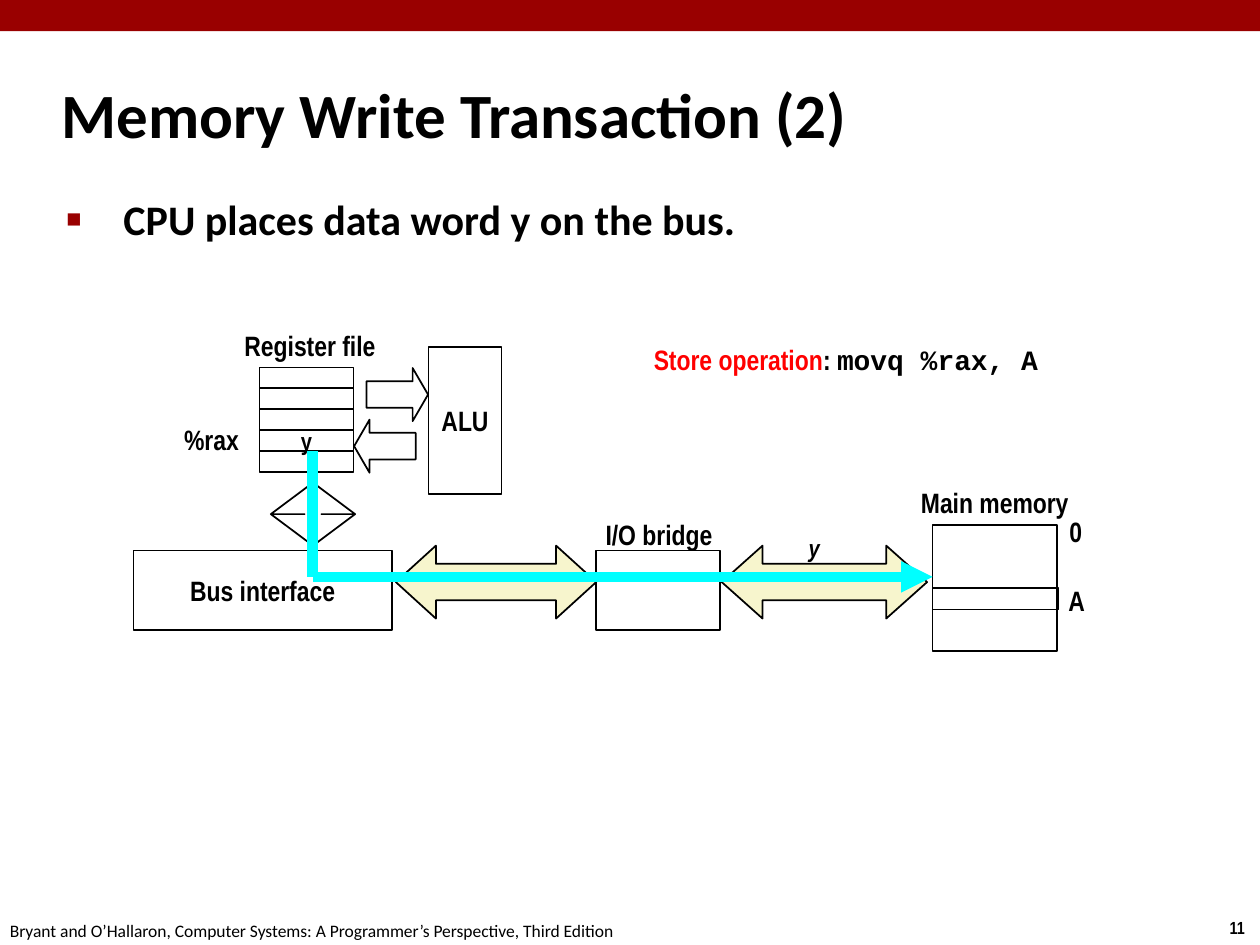
"""Build the slide on the second step of a memory write transaction."""
from lxml import etree
from pptx import Presentation
from pptx.dml.color import RGBColor
from pptx.enum.shapes import MSO_CONNECTOR, MSO_SHAPE
from pptx.enum.text import MSO_ANCHOR, MSO_AUTO_SIZE, PP_ALIGN
from pptx.oxml.ns import qn
from pptx.util import Cm, Pt

BLACK = RGBColor(0x00, 0x00, 0x00)
WHITE = RGBColor(0xFF, 0xFF, 0xFF)
DARK_RED = RGBColor(0x99, 0x00, 0x00)
RED = RGBColor(0xFF, 0x00, 0x00)
CREAM = RGBColor(0xF7, 0xF5, 0xCD)
CYAN = RGBColor(0x00, 0xFF, 0xFF)

prs = Presentation()
prs.slide_width, prs.slide_height = Cm(25.4), Cm(19.05)
slide = prs.slides.add_slide(prs.slide_layouts[6])
shapes = slide.shapes


def write(holder, text, size, font="Arial Narrow", bold=True, align=PP_ALIGN.LEFT,
          anchor=MSO_ANCHOR.MIDDLE, wrap=False):
    frame = holder.text_frame
    frame.word_wrap = wrap
    frame.vertical_anchor = anchor
    paragraph = frame.paragraphs[0]
    paragraph.text = text
    paragraph.alignment = align
    paragraph.font.name, paragraph.font.size = font, Pt(size)
    paragraph.font.bold = bold
    paragraph.font.color.rgb = BLACK
    return paragraph


def draw(kind, left, top, width, height, fill=None, adjustments=()):
    part = shapes.add_shape(kind, Cm(left), Cm(top), Cm(width), Cm(height))
    part.shadow.inherit = False
    if fill is None:
        part.fill.background()
    else:
        part.fill.solid()
        part.fill.fore_color.rgb = fill
    part.line.color.rgb = BLACK
    part.line.width = Pt(1)
    for index, value in enumerate(adjustments):
        part.adjustments[index] = value
    return part


top_bar = draw(MSO_SHAPE.RECTANGLE, 0, 0, 25.4, 0.63, DARK_RED)
top_bar.line.fill.background()

title = shapes.add_textbox(Cm(0.99), Cm(1.22), Cm(21.08), Cm(2.11))
write(title, "Memory Write Transaction (2)", 36, "Calibri", wrap=True)

body = shapes.add_textbox(Cm(1.09), Cm(3.78), Cm(21.95), Cm(13.82))
statement = write(body, "CPU places data word y on the bus.", 24, "Calibri",
                  anchor=MSO_ANCHOR.TOP, wrap=True)
statement.space_before = Pt(5)
bullet = statement._p.get_or_add_pPr()
bullet.set("marL", str(Cm(1.15)))
bullet.set("indent", str(-Cm(1.15)))
bullet_color = etree.SubElement(bullet, qn("a:buClr"))
etree.SubElement(bullet_color, qn("a:srgbClr"), val=str(DARK_RED))
etree.SubElement(bullet, qn("a:buSzPct"), val="60000")
etree.SubElement(bullet, qn("a:buFont"), typeface="Arial")
etree.SubElement(bullet, qn("a:buChar"), char="■")
bullet.append(bullet.find(qn("a:defRPr")))

draw(MSO_SHAPE.RECTANGLE, 18.8, 10.59, 2.51, 2.54)
draw(MSO_SHAPE.LEFT_RIGHT_ARROW, 14.55, 11, 4.14, 1.47, CREAM, (0.5, 0.56))
draw(MSO_SHAPE.RECTANGLE, 12.01, 11.1, 2.51, 1.6)
draw(MSO_SHAPE.LEFT_RIGHT_ARROW, 7.98, 11, 4.04, 1.47, CREAM, (0.5, 0.55))

for row in range(5):
    register = draw(MSO_SHAPE.RECTANGLE, 5.23, 7.41 + 0.42 * row, 1.9, 0.42)
    if row == 3:
        write(register, "y", 14, align=PP_ALIGN.CENTER)

draw(MSO_SHAPE.RIGHT_ARROW, 7.39, 7.42, 1.24, 1.07, adjustments=(0.5, 0.29))
draw(MSO_SHAPE.LEFT_ARROW, 7.14, 8.46, 1.24, 1.07, adjustments=(0.5, 0.29))
alu = draw(MSO_SHAPE.RECTANGLE, 8.64, 6.99, 1.47, 2.97)
write(alu, "ALU", 16, align=PP_ALIGN.CENTER)
draw(MSO_SHAPE.UP_DOWN_ARROW, 5.46, 9.73, 1.7, 1.27, adjustments=(0.5, 0.2))
bus_interface = draw(MSO_SHAPE.RECTANGLE, 2.69, 11.1, 5.21, 1.6, WHITE)
write(bus_interface, "Bus interface", 16, align=PP_ALIGN.CENTER)

data_route = [(6.3, 9.09), (6.3, 11.63), (18.8, 11.63)]
for (x1, y1), (x2, y2) in zip(data_route, data_route[1:]):
    data_path = shapes.add_connector(MSO_CONNECTOR.STRAIGHT, Cm(x1), Cm(y1), Cm(x2), Cm(y2))
    data_path.line.color.rgb = CYAN
    data_path.line.width = Pt(6)
    etree.SubElement(data_path._element.spPr, qn("a:effectLst"))
etree.SubElement(data_path.line._get_or_add_ln(), qn("a:tailEnd"), type="triangle")

draw(MSO_SHAPE.RECTANGLE, 18.8, 11.86, 2.54, 0.43)

labels = [
    ("Register file", 4.65, 6.5, 3.2, 0.94, PP_ALIGN.CENTER, 16),
    ("y", 16.05, 10.62, 0.79, 0.84, PP_ALIGN.LEFT, 14),
    ("Main memory", 18.29, 9.65, 3.53, 0.94, PP_ALIGN.CENTER, 16),
    ("0", 21.31, 10.24, 0.81, 0.94, PP_ALIGN.LEFT, 16),
    ("A", 21.29, 11.63, 0.91, 0.94, PP_ALIGN.LEFT, 16),
    ("%rax", 3.45, 8.38, 1.63, 0.94, PP_ALIGN.CENTER, 16),
    ("I/O bridge", 11.94, 10.31, 2.69, 0.94, PP_ALIGN.CENTER, 16),
]
for text, left, top, width, height, align, size in labels:
    label = shapes.add_textbox(Cm(left), Cm(top), Cm(width), Cm(height))
    caption = write(label, text, size, align=align)
    caption.font.italic = text == "y"
    label.text_frame.auto_size = MSO_AUTO_SIZE.SHAPE_TO_FIT_TEXT

operation = shapes.add_textbox(Cm(12.93), Cm(6.78), Cm(8.38), Cm(1.63))
instruction = write(operation, "Store operation", 16, anchor=MSO_ANCHOR.TOP)
instruction.runs[0].font.color.rgb = RED
instruction.add_run().text = ": "
code = instruction.add_run()
code.text = "movq %rax, A"
code.font.name = "Courier New"

page_number = shapes.add_textbox(Cm(24.54), Cm(18.36), Cm(0.86), Cm(0.69))
write(page_number, "11", 10, anchor=MSO_ANCHOR.TOP)
footer = shapes.add_textbox(Cm(-0.05), Cm(18.42), Cm(12.9), Cm(0.69))
write(footer, "Bryant and O’Hallaron, Computer Systems: A Programmer’s Perspective, Third Edition",
      10, "Calibri", bold=False, anchor=MSO_ANCHOR.TOP)
for note in (operation, page_number, footer):
    note.text_frame.auto_size = MSO_AUTO_SIZE.SHAPE_TO_FIT_TEXT

prs.save("out.pptx")
